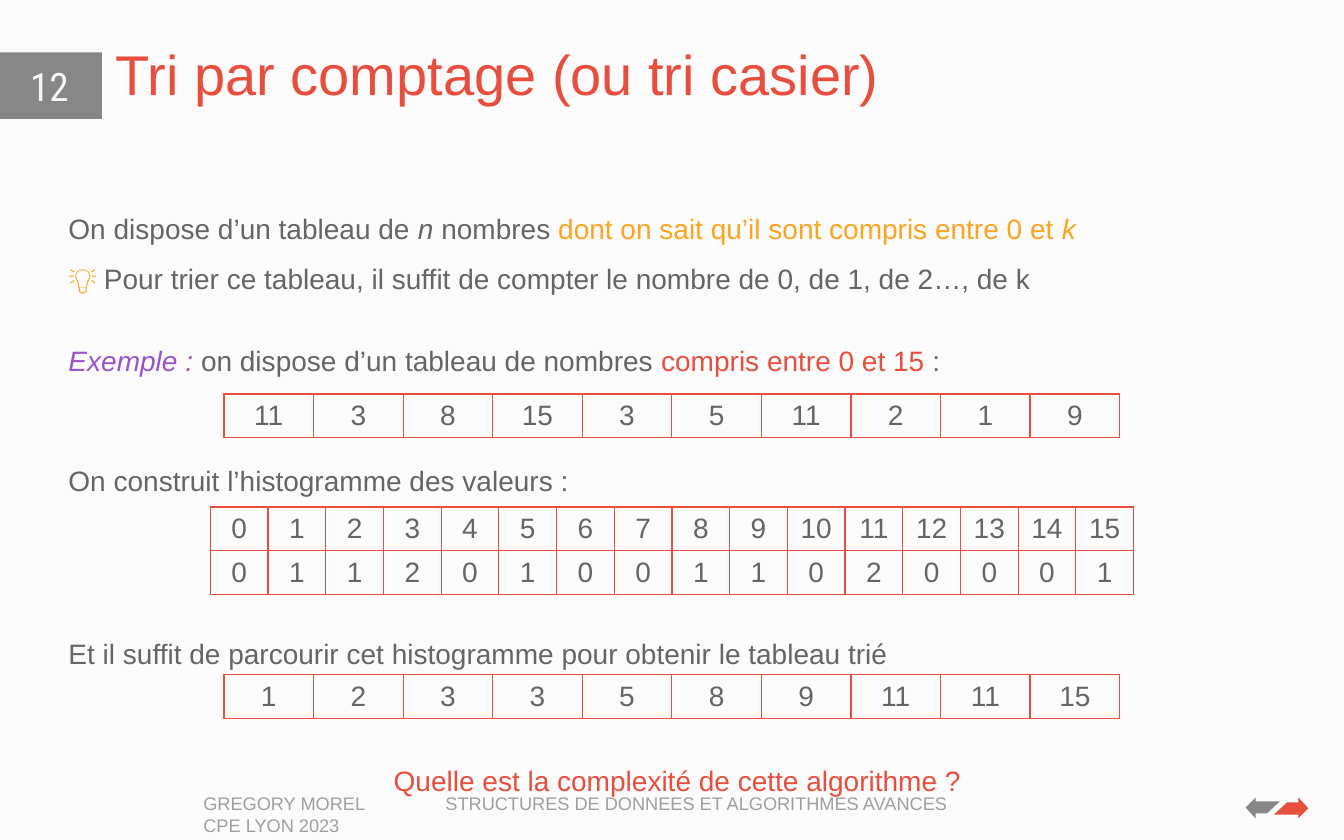
from pptx import Presentation
from pptx.dml.color import RGBColor
from pptx.enum import shapes, text
from pptx.oxml import parse_xml
from pptx.oxml import ns
from pptx.util import Pt

RED = RGBColor(0xE7, 0x4E, 0x3E)
GREY = RGBColor(0x87, 0x87, 0x87)
INK = RGBColor(0x65, 0x65, 0x65)
ORANGE = RGBColor(0xFB, 0xA4, 0x1F)
PURPLE = RGBColor(0x99, 0x54, 0xCC)
PALE = RGBColor(0xF6, 0xF6, 0xF6)
PAPER = RGBColor(0xFB, 0xFB, 0xFB)

# Content
TITLE = "Tri par comptage (ou tri casier)"
NUMBER = "12"
FOOTER = ["GREGORY MOREL\tSTRUCTURES DE DONNEES ET ALGORITHMES AVANCES", "CPE LYON 2023"]

# Each line: space before, then runs of (words, colour, italic, font)
BODY = [
    (0, [("On dispose d’un tableau de ", INK, False, "Arial"),
         ("n ", INK, True, "Arial"),
         ("nombres ", INK, False, "Arial"),
         ("dont on sait qu’il sont compris entre 0 et ", ORANGE, False, "Arial"),
         ("k", ORANGE, True, "Arial")]),
    (0, [("💡 ", ORANGE, False, "Calibri"),
         ("Pour trier ce tableau, il suffit de compter le nombre de 0, de 1, de 2…, de k",
          INK, False, "Arial")]),
    (22.6, [("Exemple : ", PURPLE, True, "Arial"),
            ("on dispose d’un tableau de nombres ", INK, False, "Arial"),
            ("compris entre 0 et 15", RED, False, "Arial"),
            (" :", INK, False, "Arial")]),
    (49.8, [("On construit l’histogramme des valeurs :", INK, False, "Arial")]),
    (87.6, [("Et il suffit de parcourir cet histogramme pour obtenir le tableau trié",
             INK, False, "Arial")]),
    (54.1, [("Quelle est la complexité de cette algorithme ?", RED, False, "Arial")]),
]

VALUES = [11, 3, 8, 15, 3, 5, 11, 2, 1, 9]
BINS = list(range(16))
COUNTS = [VALUES.count(value) for value in BINS]

# Each table: top, width, rows of numbers
TABLES = [
    (281.4, 640, [VALUES]),
    (362.2, 659.5, [BINS, COUNTS]),
    (481.8, 640, [sorted(VALUES)]),
]
ROW_HEIGHT = 31.2

ARROW = [(927.4, 573.1), (927.4, 569.5), (934.6, 577.4), (927.4, 584.6),
         (927.4, 581.8), (910.1, 581.8), (919.4, 573.1)]
ARROW_CENTRE = (912.2, 577.1)

deck = Presentation()
deck.slide_width, deck.slide_height = Pt(960), Pt(600)
page = deck.slides.add_slide(deck.slide_layouts[6])
page.background.fill.solid()
page.background.fill.fore_color.rgb = PAPER


def paint(shape, colour):
    shape.shadow.inherit = False
    shape.fill.solid()
    shape.fill.fore_color.rgb = colour
    shape.line.fill.background()


def add_box(left, top, width, height):
    box = page.shapes.add_textbox(Pt(left), Pt(top), Pt(width), Pt(height))
    box.text_frame.word_wrap = True
    return box.text_frame


def add_span(para, words, size, colour, font="Arial", italic=False):
    span = para.add_run()
    span.text = words
    span.font.size = Pt(size)
    span.font.name = font
    span.font.italic = italic
    span.font.color.rgb = colour
    return span


def add_arrow(points, colour):
    corners = [(Pt(x), Pt(y)) for x, y in points]
    builder = page.shapes.build_freeform(*corners[0])
    builder.add_line_segments(corners[1:], close=True)
    paint(builder.convert_to_shape(), colour)


def add_borders(cell):
    properties = cell._tc.get_or_add_tcPr()
    for place, side in enumerate(("lnL", "lnR", "lnT", "lnB")):
        properties.insert(place, parse_xml(
            f'<a:{side} {ns.nsdecls("a")} w="{Pt(1)}"><a:solidFill>'
            f'<a:srgbClr val="{RED}"/></a:solidFill></a:{side}>'))


def add_numbers(top, width, rows):
    columns = len(rows[0])
    left = (960 - width) / 2
    table = page.shapes.add_table(len(rows), columns, Pt(left), Pt(top), Pt(width),
                                  Pt(ROW_HEIGHT * len(rows))).table
    table.first_row = table.horz_banding = False
    for column in table.columns:
        column.width = Pt(width / columns)
    for r, numbers in enumerate(rows):
        table.rows[r].height = Pt(ROW_HEIGHT)
        for c, number in enumerate(numbers):
            cell = table.cell(r, c)
            cell.fill.background()
            cell.vertical_anchor = text.MSO_ANCHOR.MIDDLE
            para = cell.text_frame.paragraphs[0]
            para.alignment = text.PP_ALIGN.CENTER
            add_span(para, str(number), 20, INK)
            add_borders(cell)


# Page number tab and navigation arrows
paint(page.shapes.add_shape(shapes.MSO_SHAPE.RECTANGLE, 0, Pt(37.4), Pt(72.7), Pt(47.5)), GREY)
add_arrow(ARROW, RED)
add_arrow([(2 * ARROW_CENTRE[0] - x, 2 * ARROW_CENTRE[1] - y) for x, y in ARROW], GREY)
number_para = add_box(6.5, 41, 57.6, 36.7).paragraphs[0]
number_para.alignment = text.PP_ALIGN.CENTER
add_span(number_para, NUMBER, 28, PALE, "Roboto Condensed")

# Footer, with one tab stop for the course name
footer_para = add_box(138.2, 562.3, 610, 37).paragraphs[0]
footer_para._p.get_or_add_pPr().append(parse_xml(
    f'<a:tabLst {ns.nsdecls("a")}><a:tab pos="{Pt(172.9)}" algn="l"/></a:tabLst>'))
for index, words in enumerate(FOOTER):
    if index:
        footer_para.add_line_break()
    span = add_span(footer_para, words, 13, GREY)
    span._r.find(".//" + ns.qn("a:srgbClr")).append(
        parse_xml(f'<a:alpha {ns.nsdecls("a")} val="79000"/>'))

# Title
title = add_box(75.6, 9.4, 720, 71.3)
title.vertical_anchor = text.MSO_ANCHOR.BOTTOM
title.paragraphs[0].line_spacing = 0.9
add_span(title.paragraphs[0], TITLE, 40, RED)

# Explanation, with room left for the tables
body = add_box(27.4, 135.4, 898.6, 436.3)
for index, (gap, spans) in enumerate(BODY):
    para = body.add_paragraph() if index else body.paragraphs[0]
    para._p.get_or_add_pPr().set("marL", str(Pt(14.4)))
    para.line_spacing = 1.5
    if gap:
        para.space_before = Pt(gap)
    for words, colour, italic, font in spans:
        add_span(para, words, 20, colour, font, italic)
para.alignment = text.PP_ALIGN.CENTER

# Tables
for top, width, rows in TABLES:
    add_numbers(top, width, rows)

deck.save("out.pptx")
